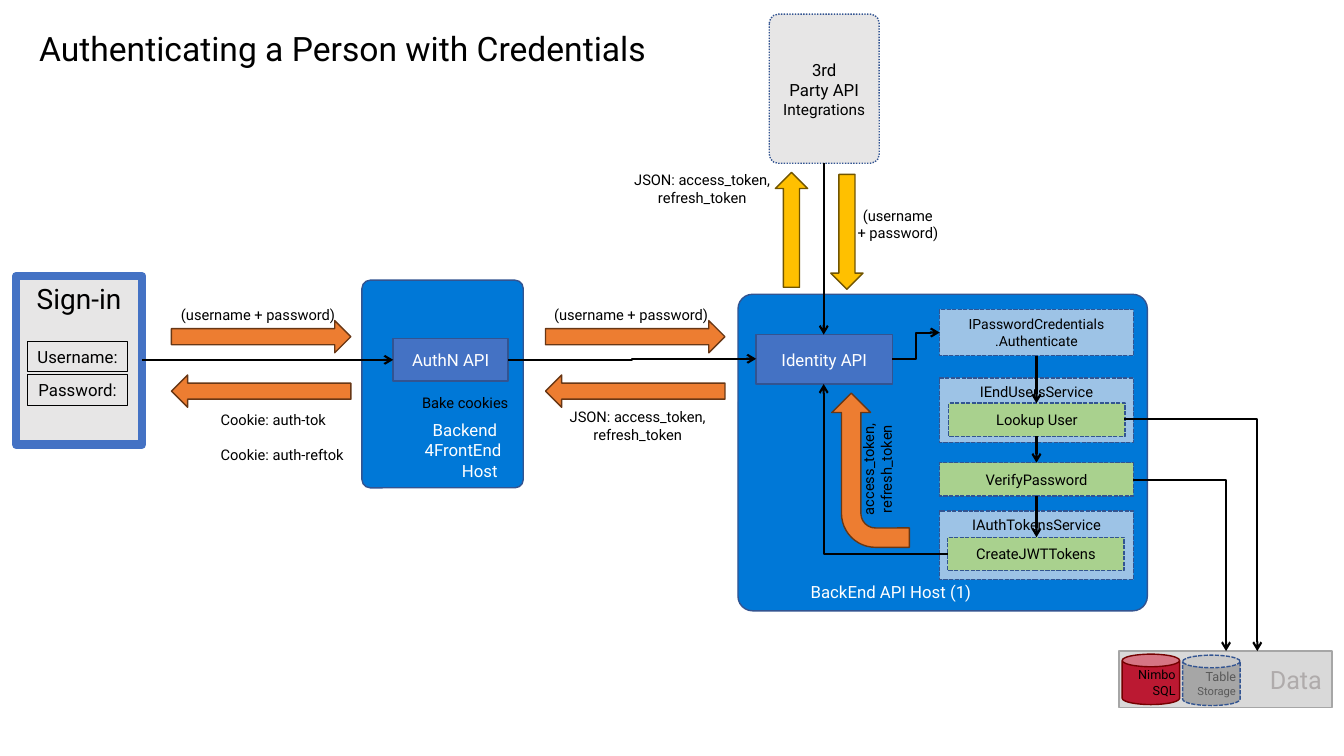
"""Build the slide on authenticating a person with credentials."""
from dataclasses import dataclass
from typing import Any, NamedTuple, Optional, Union

from lxml import etree
from pptx import Presentation
from pptx import util as u
from pptx.dml.color import RGBColor
from pptx.enum import dml, shapes, text
from pptx.oxml import ns

PX = u.Inches(1) // 100
FONT = "Roboto"

BLACK = RGBColor(0x00, 0x00, 0x00)
WHITE = RGBColor(0xFF, 0xFF, 0xFF)
HOST = RGBColor(0x00, 0x78, 0xD7)
API = RGBColor(0x44, 0x72, 0xC4)
NAVY = RGBColor(0x32, 0x54, 0x91)
SERVICE = RGBColor(0x9D, 0xC3, 0xE6)
STEP = RGBColor(0xA9, 0xD1, 0x8E)
PALE = RGBColor(0xE7, 0xE6, 0xE6)
ORANGE = RGBColor(0xED, 0x7D, 0x31)
BROWN = RGBColor(0x68, 0x37, 0x15)
YELLOW = RGBColor(0xFF, 0xC0, 0x00)
OLIVE = RGBColor(0x70, 0x54, 0x00)
SILVER = RGBColor(0xD9, 0xD9, 0xD9)
GREY = RGBColor(0xA6, 0xA6, 0xA6)
FADED = RGBColor(0xAF, 0xAB, 0xAB)
SLATE = RGBColor(0x59, 0x59, 0x59)
RED = RGBColor(0xBB, 0x19, 0x32)
MAROON = RGBColor(0x74, 0x00, 0x00)

KIND = shapes.MSO_SHAPE
RECT, ROUND, CAN = KIND.RECTANGLE, KIND.ROUNDED_RECTANGLE, KIND.CAN
ARROW = KIND.RIGHT_ARROW
DOT, DASH = dml.MSO_LINE.ROUND_DOT, dml.MSO_LINE.SQUARE_DOT
TOP, MIDDLE, BOTTOM = text.MSO_ANCHOR.TOP, text.MSO_ANCHOR.MIDDLE, text.MSO_ANCHOR.BOTTOM
LEFT, CENTER, RIGHT = text.PP_ALIGN.LEFT, text.PP_ALIGN.CENTER, text.PP_ALIGN.RIGHT


class Span(NamedTuple):
    """A piece of a paragraph with its own size."""
    words: str
    size: float


class Area(NamedTuple):
    """Left, top, width and height in px."""
    left: int
    top: int
    width: int
    height: int


class Wire(NamedTuple):
    """A connector from start to end in px."""
    start: tuple[int, int]
    end: tuple[int, int]
    preset: str = "line"


@dataclass(frozen=True)
class Copy:
    """Paragraphs and the way they are set."""
    paras: tuple[Union[str, tuple[Span, ...]], ...] = ()
    size: float = 12
    color: RGBColor = BLACK
    align: Any = CENTER
    anchor: Any = MIDDLE
    indents: tuple[int, ...] = ()
    gap: int = 0
    right: int = 10
    wrap: bool = True


@dataclass(frozen=True)
class Block:
    """A preset shape with its outline and words."""
    kind: Any
    area: Area
    fill: Optional[RGBColor]
    edge: RGBColor = NAVY
    copy: Copy = Copy()
    weight: float = 1
    dash: Any = None
    corner: Optional[float] = None
    turn: int = 0


@dataclass(frozen=True)
class Label:
    """A free text box."""
    area: Area
    copy: Copy
    turn: int = 0


def service(top: int, height: int, paras: tuple[str, ...], size: float = 10.5,
            anchor: Any = TOP, fill: RGBColor = SERVICE) -> Block:
    """Describe a dashed box in the service column."""
    return Block(RECT, Area(932, top, 192, height), fill,
                 copy=Copy(paras, size, anchor=anchor), dash=DASH)


def step(left: int, top: int, name: str) -> Block:
    """Describe a green step inside a service."""
    return Block(RECT, Area(left, top, 175, 33), STEP, copy=Copy((name,), 10.5), dash=DASH)


def arrow(left: int, top: int, turn: int) -> Block:
    """Describe an orange arrow between hosts."""
    return Block(ARROW, Area(left, top, 178, 32), ORANGE, BROWN, turn=turn)


def note(left: int, top: int, width: int, *paras: str, turn: int = 0) -> Label:
    """Describe a small centred caption."""
    height = 28 if len(paras) == 1 else 45
    return Label(Area(left, top, width, height),
                 Copy(paras, 10.5, anchor=TOP, wrap=False), turn)


TOKENS = ("JSON: access_token,", "refresh_token")
LOGIN = "(username + password)"

BLOCKS = [
    Block(ROUND, Area(732, 292, 406, 314), HOST, corner=0.046,
          copy=Copy(("BackEnd API Host (1)",), color=WHITE, align=LEFT, anchor=BOTTOM,
                    indents=(58,))),
    Block(RECT, Area(750, 332, 135, 49), API, copy=Copy(("Identity API",), color=WHITE)),
    Block(ROUND, Area(359, 278, 160, 206), HOST, corner=0.051,
          copy=Copy(("Backend", "4FrontEnd", "Host"), color=WHITE, align=LEFT, anchor=BOTTOM,
                    indents=(58, 50, 87))),
    Block(RECT, Area(390, 336, 114, 42), API, copy=Copy(("AuthN API",), color=WHITE)),
    Block(ROUND, Area(763, 14, 109, 148), PALE, dash=DOT, corner=0.082,
          copy=Copy(("3rd", (Span("Party API ", 12), Span("Integrations", 11))))),
    service(307, 46, ("IPasswordCredentials", ".Authenticate"), 10, MIDDLE),
    Block(RECT, Area(16, 274, 125, 167), PALE, API, Copy(("Sign-in",), 20, anchor=TOP), 6),
    *(Block(RECT, Area(27, top, 100, 30), None, BLACK,
            Copy((name,), anchor=TOP, wrap=False), 0.75)
      for top, name in ((339, "Username:"), (372, "Password:"))),
    Block(RECT, Area(1110, 646, 211, 56), SILVER, GREY,
          Copy(("Data",), 18, FADED, RIGHT)),
    Block(CAN, Area(1173, 650, 57, 50), GREY, dash=DASH,
          copy=Copy(((Span("Table ", 9), Span("Storage", 8)),), 9, SLATE, RIGHT, right=4)),
    Block(CAN, Area(1113, 649, 57, 50), RED, MAROON,
          Copy(("Nimbo SQL",), 9, align=RIGHT, right=4)),
    service(459, 33, ("VerifyPassword",), anchor=MIDDLE, fill=STEP),
    service(507, 68, ("IAuthTokensService",)),
    step(940, 533, "CreateJWTTokens"),
    service(375, 64, ("IEndUsersService",)),
    step(941, 400, "Lookup User"),
    *(arrow(left, top, turn) for left in (170, 541) for top, turn in ((318, 0), (372, 180))),
    Block(KIND.BENT_ARROW, Area(787, 428, 153, 77), ORANGE, BROWN, turn=270),
    Block(ARROW, Area(783, 214, 114, 32), YELLOW, OLIVE, turn=90),
    Block(ARROW, Area(728, 212, 114, 32), YELLOW, OLIVE, turn=270),
]

WIRES = [
    Wire((885, 356), (932, 330), "bentConnector3"),
    Wire((504, 357), (750, 356), "bentConnector3"),
    Wire((141, 357), (390, 357)),
    Wire((817, 162), (817, 332)),
    Wire((940, 550), (817, 381), "bentConnector2"),
    Wire((1124, 476), (1216, 646), "bentConnector2"),
    Wire((1115, 416), (1247, 646), "bentConnector2"),
    *(Wire((1028, top), (1028, end)) for top, end in ((353, 400), (433, 459), (492, 533))),
]

LABELS = [
    Label(Area(29, 23, 629, 50), Copy(("Authenticating a Person with Credentials",), 24,
                                      align=LEFT, anchor=TOP, wrap=False)),
    Label(Area(209, 403, 144, 63), Copy(("Cookie: auth-tok", "Cookie: auth-reftok"), 10.5,
                                        align=LEFT, anchor=TOP, gap=12, wrap=False)),
    note(168, 298, 176, LOGIN),
    note(538, 298, 176, LOGIN),
    note(552, 400, 161, *TOKENS),
    note(616, 165, 161, *TOKENS),
    note(812, 443, 116, "access_token,", "refresh_token", turn=270),
    note(408, 386, 107, "Bake cookies"),
    note(838, 200, 105, "(username", "+ password)"),
]


def apply(target: Any, values: dict[str, Any]) -> None:
    """Set each named attribute on the target."""
    for name, value in values.items():
        setattr(target, name, value)


def write(box: Any, copy: Copy) -> None:
    """Fill a shape with paragraphs."""
    frame = box.text_frame
    apply(frame, {"word_wrap": copy.wrap, "vertical_anchor": copy.anchor,
                  "margin_left": 10 * PX, "margin_right": copy.right * PX,
                  "margin_top": 5 * PX, "margin_bottom": 5 * PX})
    for index, content in enumerate(copy.paras):
        para = frame.add_paragraph() if index else frame.paragraphs[0]
        para.alignment = copy.align
        if copy.indents:
            para._p.get_or_add_pPr().set("marL", str(copy.indents[index] * PX))
        if index and copy.gap:
            para.space_before = u.Pt(copy.gap)
        for piece in (Span(content, copy.size),) if isinstance(content, str) else content:
            span = para.add_run()
            span.text = piece.words
            apply(span.font, {"name": FONT, "size": u.Pt(piece.size)})
            span.font.color.rgb = copy.color


def draw_block(page: Any, block: Block) -> None:
    """Draw a preset shape."""
    box = page.shapes.add_shape(block.kind, *(side * PX for side in block.area))
    box.shadow.inherit = False
    box.rotation = block.turn
    if block.corner is not None:
        box.adjustments[0] = block.corner
    if block.fill is None:
        box.fill.background()
    else:
        box.fill.solid()
        box.fill.fore_color.rgb = block.fill
    box.line.color.rgb = block.edge
    apply(box.line, {"width": u.Pt(block.weight), "dash_style": block.dash})
    write(box, block.copy)


def draw_wire(page: Any, wire: Wire) -> None:
    """Draw a connector with an open arrowhead."""
    kind = shapes.MSO_CONNECTOR.STRAIGHT if wire.preset == "line" else shapes.MSO_CONNECTOR.ELBOW
    link = page.shapes.add_connector(kind, *(side * PX for side in wire.start + wire.end))
    link.line.color.rgb = BLACK
    link.line.width = u.Pt(1.5)
    properties = link._element.spPr
    properties.find(ns.qn("a:prstGeom")).set("prst", wire.preset)
    etree.SubElement(properties.find(ns.qn("a:ln")), ns.qn("a:tailEnd"), type="arrow")
    etree.SubElement(properties, ns.qn("a:effectLst"))


def draw_label(page: Any, label: Label) -> None:
    """Draw a free text box."""
    box = page.shapes.add_textbox(*(side * PX for side in label.area))
    box.rotation = label.turn
    write(box, label.copy)
    box.text_frame.auto_size = text.MSO_AUTO_SIZE.SHAPE_TO_FIT_TEXT


def main() -> None:
    """Build and save the deck."""
    deck = Presentation()
    apply(deck, {"slide_width": 1333 * PX, "slide_height": 750 * PX})
    page = deck.slides.add_slide(deck.slide_layouts[6])
    for draw, items in ((draw_block, BLOCKS), (draw_wire, WIRES), (draw_label, LABELS)):
        for item in items:
            draw(page, item)
    deck.save("out.pptx")


if __name__ == "__main__":
    main()
